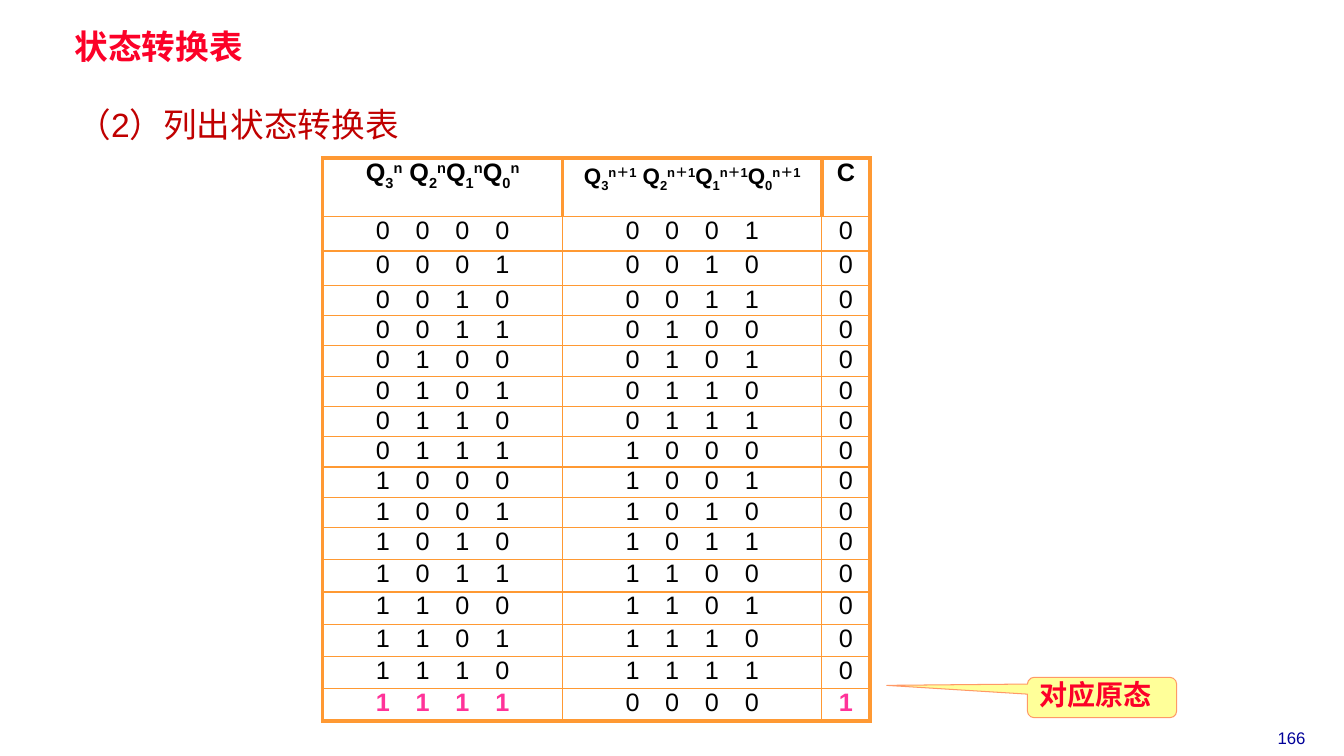
from pptx import Presentation
from pptx.dml.color import RGBColor
from pptx.enum.shapes import MSO_SHAPE as Shape
from pptx.enum.text import MSO_ANCHOR as Anchor, PP_ALIGN as Align
from pptx.oxml.ns import qn
from pptx.util import Inches, Pt
from lxml.etree import SubElement

RED, DARK_RED, NAVY = "FC0128", "C00000", "000099"
BLACK, PINK, ORANGE = "000000", "FF3399", "FF9933"
DIGIT_SPACING = "670"
STATES = 16


def rgb(code):
    return RGBColor.from_string(code)


class StateSlide:
    font_name = "Arial"

    def __init__(self, deck):
        self.slide = deck.slides.add_slide(deck.slide_layouts[5])

    def style(self, paragraph, size, color, bold=False, align=Align.LEFT):
        paragraph.alignment = align
        font = paragraph.font
        font.name, font.size, font.bold = self.font_name, Pt(size), bold
        font.color.rgb = rgb(color)

    def title(self, text, left, top, width, height):
        heading = self.slide.shapes.title
        heading.left, heading.top = Inches(left), Inches(top)
        heading.width, heading.height = Inches(width), Inches(height)
        frame = heading.text_frame
        frame.text = text
        frame.vertical_anchor = Anchor.TOP
        frame.margin_left = frame.margin_right = Inches(0.07)
        frame.margin_top = frame.margin_bottom = Inches(0.03)
        frame.paragraphs[0].line_spacing = 0.87
        self.style(frame.paragraphs[0], 24, RED, True)

    def text(self, text, left, top, width, height, size, color, align=Align.LEFT):
        box = self.slide.shapes.add_textbox(
            Inches(left), Inches(top), Inches(width), Inches(height))
        frame = box.text_frame
        frame.word_wrap = True
        frame.text = text
        self.style(frame.paragraphs[0], size, color, align=align)

    def callout(self, text, left, top, width, height, adjustments):
        note = self.slide.shapes.add_shape(
            Shape.ROUNDED_RECTANGULAR_CALLOUT,
            Inches(left), Inches(top), Inches(width), Inches(height))
        for index, value in enumerate(adjustments):
            note.adjustments[index] = value
        note.shadow.inherit = False
        note.fill.solid()
        note.fill.fore_color.rgb = rgb("FFFF99")
        note.line.color.rgb = rgb("FF9966")
        note.line.width = Pt(0.75)
        frame = note.text_frame
        frame.text = text
        frame.vertical_anchor = Anchor.BOTTOM
        self.style(frame.paragraphs[0], 20, RED, True)

    def table(self, left, top, widths, heights):
        grid = self.slide.shapes.add_table(
            len(heights), len(widths), Inches(left), Inches(top),
            Inches(sum(widths)), Inches(sum(heights))).table
        grid.horz_banding = False
        for column, width in zip(grid.columns, widths):
            column.width = Inches(width)
        for row, height in zip(grid.rows, heights):
            row.height = Inches(height)
        return grid

    def cell(self, cell, runs, borders, size, color=BLACK, bold=False):
        cell.margin_left = cell.margin_right = 0
        cell.margin_top = cell.margin_bottom = 0
        properties = cell._tc.get_or_add_tcPr()
        for side, width in zip("LRTB", borders):
            line = SubElement(properties, qn(f"a:ln{side}"), w=str(Pt(width)))
            fill = SubElement(line, qn("a:solidFill"))
            SubElement(fill, qn("a:srgbClr"), val=ORANGE)
        cell.fill.background()
        paragraph = cell.text_frame.paragraphs[0]
        self.style(paragraph, size, color, bold, Align.CENTER)
        for text, attributes in runs:
            run = paragraph.add_run()
            run.text = text
            for name, value in attributes.items():
                run._r.get_or_add_rPr().set(name, value)


def state_name(power):
    runs = []
    for bit in (3, 2, 1, 0):
        runs += [(" Q" if bit == 2 else "Q", {}),
                 (str(bit), {"baseline": "-30000"}),
                 (power, {"baseline": "30000"})]
    return runs


def state_bits(state):
    bits = " ".join(f"{state:04b}")
    return [(bits[:-1], {"spc": DIGIT_SPACING}), (bits[-1], {})]


def main():
    deck = Presentation()
    deck.slide_width, deck.slide_height = Inches(13.33), Inches(7.5)
    page = StateSlide(deck)
    page.text("166", 12.34, 7.17, 0.94, 0.3, 12, NAVY, Align.CENTER)
    page.title("状态转换表", 0.67, 0.28, 5.75, 0.41)
    page.text("（2）列出状态转换表", 0.67, 0.98, 3.74, 0.5, 24, DARK_RED)

    heights = [0.58] + [0.34] * 2 + [0.3] * 8 + [0.32] * 6
    transitions = page.table(3.2, 1.57, [2.38, 2.57, 0.48], heights)
    header = [(state_name("n"), 18), (state_name("n＋1"), 16), ([("C", {})], 18)]
    for column, (runs, size) in enumerate(header):
        page.cell(transitions.cell(0, column), runs, (3, 3, 3, 1), size, bold=True)

    for state in range(STATES):
        wraps = state == STATES - 1
        row = [state_bits(state), state_bits((state + 1) % STATES),
               [(str(int(wraps)), {})]]
        for column, runs in enumerate(row):
            borders = (3 if column == 0 else 1, 3 if column == 2 else 1,
                       1, 3 if wraps else 1)
            marked = wraps and column != 1
            page.cell(transitions.cell(state + 1, column), runs, borders, 18,
                      PINK if marked else BLACK, marked)

    page.callout("对应原态", 10.19, 6.72, 1.48, 0.4, (-1.443, -0.301, 0.167))
    deck.save("out.pptx")


if __name__ == "__main__":
    main()
